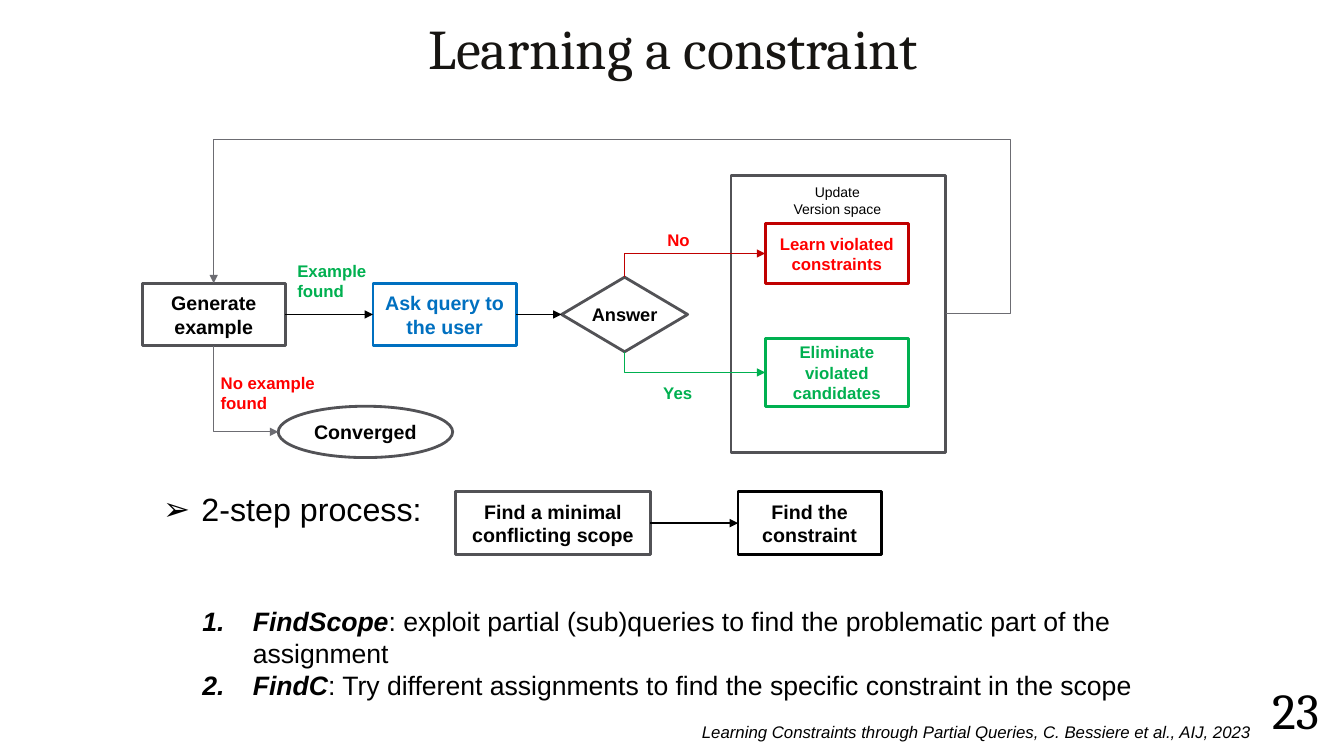
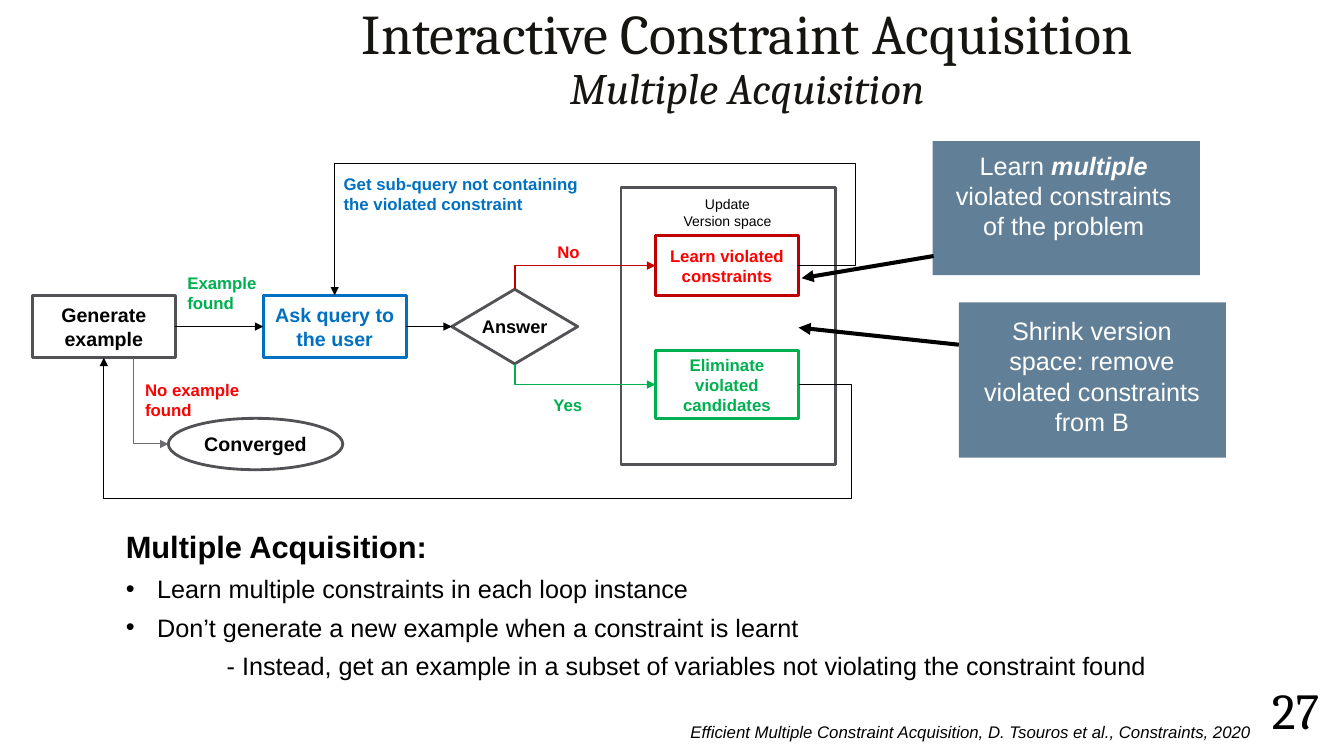
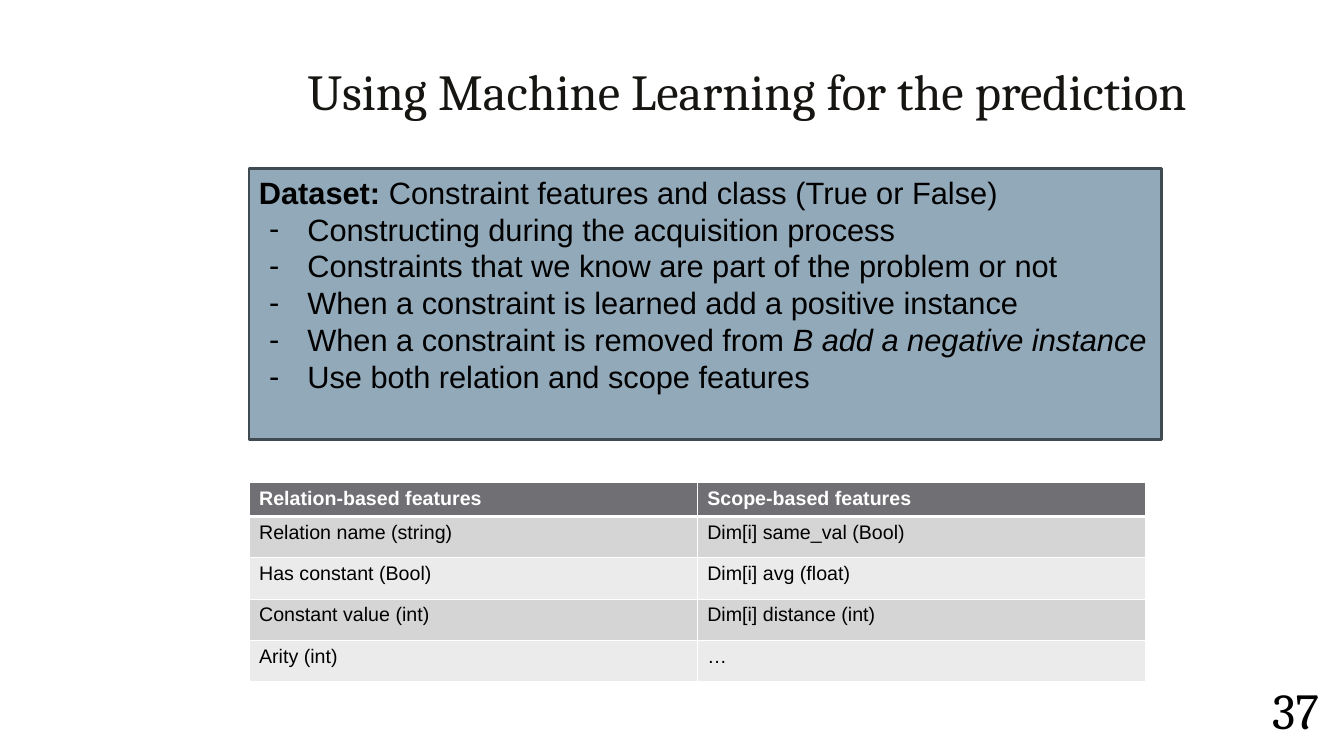
from dataclasses import dataclass

from pptx import Presentation
from pptx.dml.color import RGBColor
from pptx.enum.shapes import MSO_CONNECTOR, MSO_SHAPE
from pptx.enum.text import MSO_ANCHOR, PP_ALIGN
from pptx.oxml.ns import qn
from pptx.oxml.xmlchemy import OxmlElement
from pptx.util import Inches, Pt

LEFT, CENTER, RIGHT = PP_ALIGN.LEFT, PP_ALIGN.CENTER, PP_ALIGN.RIGHT
TOP, MIDDLE, BOTTOM = MSO_ANCHOR.TOP, MSO_ANCHOR.MIDDLE, MSO_ANCHOR.BOTTOM
RECT, DIAMOND, ELLIPSE = MSO_SHAPE.RECTANGLE, MSO_SHAPE.DIAMOND, MSO_SHAPE.OVAL
STRAIGHT, ELBOW = MSO_CONNECTOR.STRAIGHT, MSO_CONNECTOR.ELBOW

# Connection sites in preset order, with their place on the shape's frame
SIDES = {"top": (0.5, 0), "left": (0, 0.5), "bottom": (0.5, 1), "right": (1, 0.5)}


@dataclass(frozen=True)
class Theme:
    body: str = "Arial"
    serif: str = "Cambria"
    black: str = "000000"
    white: str = "FFFFFF"
    title_ink: str = "171512"
    frame: str = "525256"
    loop: str = "6C6C72"
    blue: str = "0070C0"
    red: str = "FF0000"
    dark_red: str = "C00000"
    green: str = "00B050"
    callout: str = "618097"
    panel: str = "92A9B9"
    panel_edge: str = "404A51"
    table_head: str = "6F6F74"
    table_rows: tuple = ("D5D5D6", "EBEBEB")
    title: int = 40
    number: int = 36
    subtitle: int = 31
    lead: int = 23
    heading: int = 22
    item: int = 19
    text: int = 18
    node: int = 14
    answer: int = 13
    label: int = 12
    caption: int = 10


@dataclass
class Para:
    """One paragraph; each run is (text, flags) with b for bold and i for italic."""
    runs: list
    size: int
    color: str = Theme.black
    align: PP_ALIGN = LEFT
    font: str = Theme.body
    bullet: str = ""
    left: float = 0
    hang: float = 0
    before: int = 0
    spacing: float = 1.0


def child(parent, tag, **attributes):
    node = OxmlElement(tag)
    for name, value in attributes.items():
        node.set(name, str(value))
    parent.append(node)
    return node


def rgb(color):
    return RGBColor.from_string(color)


class Deck:
    def __init__(self, theme):
        self.theme = theme
        self.deck = Presentation()
        self.deck.slide_width, self.deck.slide_height = Inches(13.33), Inches(7.5)
        self.page = None

    def start(self, number):
        self.page = self.deck.slides.add_slide(self.deck.slide_layouts[6])
        self.text((12.35, 6.75, 1, 0.65),
                  [Para([(number, "")], self.theme.number, align=CENTER,
                        font=self.theme.serif, spacing=0.9)],
                  anchor=MIDDLE, insets=(0.05,) * 4)

    def title(self, at, text, size, subtitle=None):
        para = Para([(text, "")], size, self.theme.title_ink, CENTER,
                    self.theme.serif, spacing=0.9)
        box = self.text(at, [para], anchor=BOTTOM)
        if subtitle:
            line = box.text_frame.paragraphs[0]
            line.add_line_break()
            self.span(line, para, subtitle, "i", self.theme.subtitle)

    def citation(self, text):
        self.text((3.07, 7.11, 9.44, 0.3),
                  [Para([(text, "i")], self.theme.label, align=RIGHT)])

    def span(self, line, para, text, flags, size):
        run = line.add_run()
        run.text = text
        run.font.name, run.font.size = para.font, Pt(size)
        run.font.bold, run.font.italic = "b" in flags, "i" in flags
        run.font.color.rgb = rgb(para.color)

    def set_text(self, frame, paras, anchor=TOP, wrap=True, insets=(0.1, 0.05, 0.1, 0.05)):
        frame.word_wrap, frame.vertical_anchor = wrap, anchor
        (frame.margin_left, frame.margin_top,
         frame.margin_right, frame.margin_bottom) = map(Inches, insets)
        for index, para in enumerate(paras):
            line = frame.add_paragraph() if index else frame.paragraphs[0]
            line.alignment, line.line_spacing = para.align, para.spacing
            line.space_before = Pt(para.before)
            props = line._p.get_or_add_pPr()
            props.set("marL", str(Inches(para.left)))
            props.set("indent", str(Inches(-para.hang)))
            if para.bullet:
                child(child(props, "a:buClr"), "a:srgbClr", val=para.color)
                if para.bullet == "1.":
                    child(props, "a:buFont", typeface="+mj-lt")
                    child(props, "a:buAutoNum", type="arabicPeriod")
                else:
                    child(props, "a:buFont", typeface=para.font)
                    child(props, "a:buChar", char=para.bullet)
            for text, flags in para.runs:
                self.span(line, para, text, flags, para.size)

    def text(self, at, paras, **layout):
        box = self.page.shapes.add_textbox(*map(Inches, at))
        self.set_text(box.text_frame, paras, **layout)
        return box

    def label(self, at, lines, color, size=None, flags="b", align=LEFT):
        self.text(at, [Para([(line, flags)], size or self.theme.label, color, align)
                       for line in lines], wrap=False)

    def shape(self, kind, at, fill=None, edge=None):
        shape = self.page.shapes.add_shape(kind, *map(Inches, at))
        shape.shadow.inherit = False
        if fill:
            shape.fill.solid()
            shape.fill.fore_color.rgb = rgb(fill)
        else:
            shape.fill.background()
        if edge:
            shape.line.color.rgb, shape.line.width = rgb(edge), Pt(2)
        else:
            shape.line.fill.background()
        return shape

    def node(self, at, text, edge, color=None, size=None, kind=RECT):
        shape = self.shape(kind, at, edge=edge)
        para = Para([(text, "b")], size or self.theme.node,
                    color or self.theme.black, CENTER)
        self.set_text(shape.text_frame, [para], anchor=MIDDLE, wrap=kind != DIAMOND)
        return shape

    def callout(self, at, runs, insets):
        shape = self.shape(RECT, at, fill=self.theme.callout)
        self.set_text(shape.text_frame,
                      [Para(runs, self.theme.text, self.theme.white, CENTER)],
                      insets=insets)

    def place(self, end):
        """Point of an end, given as (x, y) in inches or as (shape, side)."""
        if end[1] not in SIDES:
            return Inches(end[0]), Inches(end[1])
        shape, (across, down) = end[0], SIDES[end[1]]
        return (int(shape.left + across * shape.width),
                int(shape.top + down * shape.height))

    def arrow(self, start, end, color=None, width=0.75, corner=False, via=None):
        """Arrow to end: straight, with one corner, or looping through the point via."""
        first, last = (end, start) if corner else (start, end)
        (x0, y0), (x1, y1) = self.place(first), self.place(last)
        line = self.page.shapes.add_connector(
            ELBOW if corner or via else STRAIGHT, x0, y0, x1, y1)
        for join, (shape, side) in ((line.begin_connect, first), (line.end_connect, last)):
            if side in SIDES:
                step = 2 if shape.auto_shape_type == ELLIPSE else 1
                join(shape, list(SIDES).index(side) * step)
        line.begin_x, line.begin_y, line.end_x, line.end_y = x0, y0, x1, y1
        line.line.color.rgb, line.line.width = rgb(color or self.theme.black), Pt(width)
        props = line.element.spPr
        child(props.find(qn("a:ln")), "a:headEnd" if corner else "a:tailEnd",
              type="triangle")
        child(props, "a:effectLst")
        geometry = props.find(qn("a:prstGeom"))
        if corner:
            geometry.set("prst", "bentConnector2")
        if via:
            geometry.set("prst", "bentConnector4")
            bends = ((Inches(via[0]) - x0) / (x1 - x0), (Inches(via[1]) - y0) / (y1 - y0))
            guides = geometry.find(qn("a:avLst"))
            for index, bend in enumerate(bends, 1):
                child(guides, "a:gd", name=f"adj{index}", fmla=f"val {round(bend * 100000)}")

    def table(self, at, rows, heights):
        theme = self.theme
        grid = self.page.shapes.add_table(len(rows), len(rows[0]), *map(Inches, at)).table
        for r, row in enumerate(rows):
            grid.rows[r].height = Inches(heights[r])
            for c, text in enumerate(row):
                cell = grid.cell(r, c)
                props = cell._tc.get_or_add_tcPr()
                for side in "LRTB":
                    thick = (r, side) in ((0, "B"), (1, "T"))
                    edge = child(props, f"a:ln{side}", w=Pt(3 if thick else 1))
                    child(child(edge, "a:solidFill"), "a:srgbClr", val=theme.white)
                cell.fill.solid()
                cell.fill.fore_color.rgb = rgb(
                    theme.table_rows[(r - 1) % 2] if r else theme.table_head)
                ink, flags = (theme.black, "") if r else (theme.white, "b")
                self.set_text(cell.text_frame, [Para([(text, flags)], theme.node, ink)])


def draw_flow(deck, x, y, exit_x, exit_label):
    """Acquisition loop with its first box at x, y; returns the boxes by name."""
    theme = deck.theme

    def at(left, top, width, height):
        return x + left, y + top, width, height

    generate = deck.node(at(0, 0, 1.42, 0.62), "Generate example", theme.frame)
    ask = deck.node(at(2.29, 0, 1.42, 0.62), "Ask query to the user", theme.blue, theme.blue)
    answer = deck.node(at(4.16, -0.06, 1.25, 0.74), "Answer", theme.frame,
                       size=theme.answer, kind=DIAMOND)
    learn = deck.node(at(6.18, -0.59, 1.42, 0.59), "Learn violated constraints",
                      theme.dark_red, theme.red, theme.label)
    eliminate = deck.node(at(6.18, 0.55, 1.42, 0.67), "Eliminate violated candidates",
                          theme.green, theme.green, theme.label)
    converged = deck.node(at(1.35, 1.22, 1.73, 0.51), "Converged", theme.frame, kind=ELLIPSE)
    update = deck.shape(RECT, at(5.84, -1.07, 2.13, 2.75), edge=theme.frame)

    deck.arrow((generate, "right"), (ask, "left"))
    deck.arrow((ask, "right"), (answer, "left"))
    deck.arrow((answer, "top"), (learn, "left"), theme.dark_red, 1.25, corner=True)
    deck.arrow((answer, "bottom"), (eliminate, "left"), theme.green, 1.25, corner=True)
    leave = (x + exit_x, y + 0.62) if exit_x else (generate, "bottom")
    deck.arrow(leave, (converged, "left"), theme.loop, corner=True)

    deck.label(at(6.35, -1.04, 1.09, 0.44), ["Update", "Version space"], theme.black,
               theme.caption, "", CENTER)
    deck.label(at(5.11, -0.58, 0.43, 0.3), ["No"], theme.red)
    deck.label(at(5.07, 0.94, 0.5, 0.3), ["Yes"], theme.green)
    deck.label(at(1.44, -0.27, 0.89, 0.5), ["Example", "found"], theme.green)
    deck.label(at(*exit_label, 1.15, 0.5), ["No example", "found"], theme.red)
    return {"generate": generate, "ask": ask, "learn": learn,
            "eliminate": eliminate, "update": update}


def learning_slide(deck):
    theme = deck.theme
    deck.start("23")
    deck.title((0, 0.01, 13.35, 0.85), "Learning a constraint", theme.title)
    flow = draw_flow(deck, 1.41, 2.81, None, (0.68, 0.84))
    deck.arrow((flow["update"], "right"), (flow["generate"], "top"), theme.loop,
               via=(10.02, 1.38))

    deck.text((1.52, 4.81, 2.78, 0.49),
              [Para([("2-step process:", "")], theme.lead, bullet="➢", left=0.38, hang=0.38)],
              wrap=False)
    scope = deck.node((4.52, 4.88, 1.93, 0.62), "Find a minimal conflicting scope", theme.frame)
    constraint = deck.node((7.32, 4.88, 1.42, 0.62), "Find the constraint", theme.black)
    deck.arrow((scope, "right"), (constraint, "left"), width=1.25)

    steps = [
        ("FindScope", ": exploit partial (sub)queries to find the problematic part of the "
                      "assignment"),
        ("FindC", ": Try different assignments to find the specific constraint in the scope"),
    ]
    deck.text((1.91, 5.95, 9.53, 1.06),
              [Para([(name, "bi"), (rest, "")], theme.item, bullet="1.", left=0.5, hang=0.5)
               for name, rest in steps])
    deck.citation("Learning Constraints through Partial Queries, C. Bessiere et al., AIJ, 2023")


def multiple_slide(deck):
    theme = deck.theme
    deck.start("27")
    deck.title((2.47, 0.01, 9.88, 1.17), "Interactive Constraint Acquisition", theme.title,
               "Multiple Acquisition")
    flow = draw_flow(deck, 0.32, 2.93, 1.0, (1.02, 0.79))
    deck.arrow((flow["eliminate"], "right"), (flow["generate"], "bottom"), via=(8.45, 4.95))
    deck.arrow((flow["learn"], "right"), (flow["ask"], "top"), via=(8.48, 1.62))
    deck.label((3.31, 1.67, 2.55, 0.5),
               ["Get sub-query not containing", "the violated constraint"], theme.blue)

    deck.callout((9.25, 1.4, 2.65, 1.33),
                 [("Learn ", ""), ("multiple", "bi"),
                  (" violated constraints of the problem", "")], (0.2, 0.09, 0.25, 0.05))
    deck.callout((9.51, 3, 2.65, 1.54),
                 [("Shrink version space: remove violated constraints from B", "")],
                 (0.22, 0.13, 0.23, 0.05))
    deck.arrow((9.26, 2.54), (7.95, 2.76), width=2.89)
    deck.arrow((9.51, 3.42), (7.92, 3.25), width=2.89)

    points = ["Learn multiple constraints in each loop instance",
              "Don’t generate a new example when a constraint is learnt"]
    detail = ("- Instead, get an example in a subset of variables not violating "
              "the constraint found")
    deck.text((1.15, 5.19, 10.79, 1.63), [
        Para([("Multiple Acquisition:", "b")], theme.heading),
        *(Para([(point, "")], theme.text, bullet="•", left=0.31, hang=0.31, before=6)
          for point in points),
        Para([(detail, "")], theme.text, left=1, before=6),
    ])
    deck.citation("Efficient Multiple Constraint Acquisition, D. Tsouros et al., "
                  "Constraints, 2020")


def prediction_slide(deck):
    theme = deck.theme
    deck.start("37")
    deck.title((2.47, 0.01, 9.88, 1.24), "Using Machine Learning for the prediction",
               theme.number)
    points = [
        [("Constructing during the acquisition process", "")],
        [("Constraints that we know are part of the problem or not", "")],
        [("When a constraint is learned add a positive instance", "")],
        [("When a constraint is removed from ", ""), ("B add a negative instance", "i")],
        [("Use both relation and scope features", "")],
    ]
    panel = deck.shape(RECT, (2.47, 1.67, 9.05, 2.69), theme.panel, theme.panel_edge)
    deck.set_text(panel.text_frame, [
        Para([("Dataset: ", "b"), ("Constraint features and class (True or False)", "")],
             theme.heading),
        *(Para(runs, theme.heading, bullet="-", left=0.48, hang=0.38) for runs in points),
    ])
    rows = [
        ("Relation-based features", "Scope-based features"),
        ("Relation name (string)", "Dim[i] same_val (Bool)"),
        ("Has constant (Bool)", "Dim[i] avg (float)"),
        ("Constant value (int)", "Dim[i] distance (int)"),
        ("Arity (int)", "…"),
    ]
    deck.table((2.47, 4.79, 8.89, 1.96), rows, [0.32] + [0.41] * 4)


def main():
    deck = Deck(Theme())
    learning_slide(deck)
    multiple_slide(deck)
    prediction_slide(deck)
    deck.deck.save("out.pptx")


if __name__ == "__main__":
    main()
